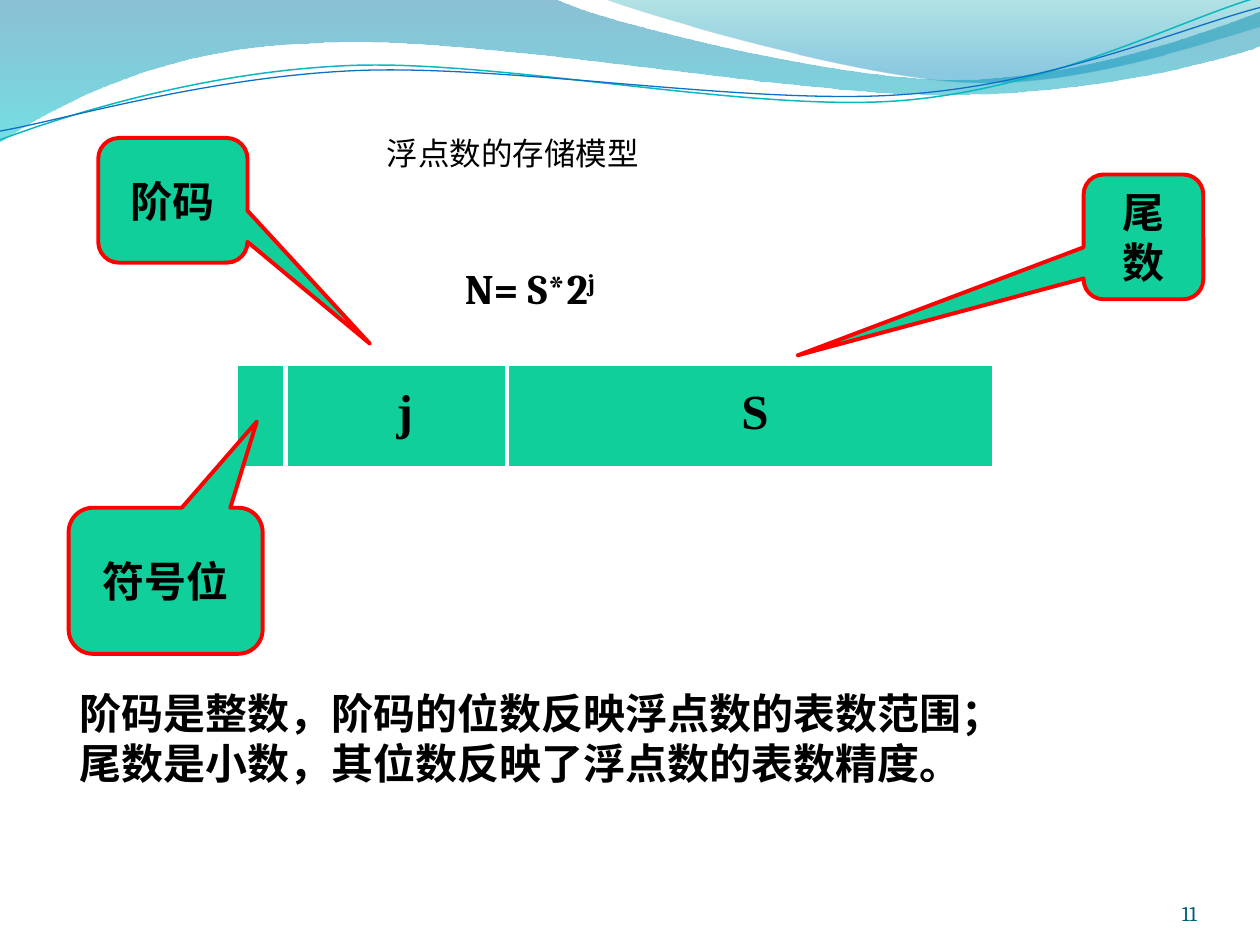
from math import cos, radians, sin

from lxml import etree
from pptx import Presentation
from pptx.dml.color import RGBColor
from pptx.enum.shapes import MSO_SHAPE
from pptx.enum.text import MSO_ANCHOR, PP_ALIGN
from pptx.oxml.ns import qn
from pptx.util import Inches, Pt

RECTANGLE = MSO_SHAPE.RECTANGLE
CALLOUT = MSO_SHAPE.ROUNDED_RECTANGULAR_CALLOUT
TOP, MIDDLE, BOTTOM = MSO_ANCHOR.TOP, MSO_ANCHOR.MIDDLE, MSO_ANCHOR.BOTTOM
LEFT, CENTER, RIGHT = PP_ALIGN.LEFT, PP_ALIGN.CENTER, PP_ALIGN.RIGHT
SERIF, HEADING = "Times New Roman", "Cambria"
GREEN, RED, WHITE, BLACK = "10CF9B", "FF0000", "FFFFFF", "000000"
TILT = -2.7

presentation = Presentation()
presentation.slide_width = Inches(10)
presentation.slide_height = Inches(7.5)
slide = presentation.slides.add_slide(presentation.slide_layouts[6])

# Grid of 100 columns by 75 rows
COLUMN = presentation.slide_width / 100
ROW = presentation.slide_height / 75


def color(value):
    return RGBColor.from_string(value)


def write(shape, lines, font, align=LEFT, anchor=TOP, wrap=True):
    frame = shape.text_frame
    frame.word_wrap = wrap
    frame.vertical_anchor = anchor
    frame.text = "\n".join(lines)
    for paragraph in frame.paragraphs:
        paragraph.alignment = align
        for name, value in font.items():
            if name == "color":
                paragraph.runs[0].font.color.rgb = color(value)
            else:
                setattr(paragraph.runs[0].font, name, value)
    return frame


# Waves at the top: start, then cubic curves (6 numbers) or straight lines (2)
waves = [
    {"start": (0, 0),
     "segments": [(44, -0.1), (47.6, 1.7, 66.4, 6.3, 75.8, 6.3),
                  (85.3, 6.3, 95.8, 2.6, 100, 0.9), (100.1, 3.6),
                  (98.3, 4.4, 87, 7.6, 74.6, 7.5), (62.2, 7.5, 38.2, 2.8, 25.7, 3.4),
                  (12.9, 3.6, 4.6, 8.3, -0.1, 11.3)],
     "stops": [(0, "0074A1", 45), (1, "00C6CF", 55)]},
    {"start": (47.9, -0.1),
     "segments": [(50.9, 1.1, 68.2, 6.2, 76.9, 6.5), (85.6, 6.9, 96.1, 3.2, 100, 2.1),
                  (100, 0)],
     "stops": [(0, "00A1A9", 30), (0.8, "008BBF", 45)]},
    {"start": (0, 11.1),
     "segments": [(4.8, 9.3, 15.8, 5.7, 27.7, 5.2), (39.5, 4.7, 59.3, 8.9, 71.3, 8),
                  (83.3, 7.1, 93.8, 1.5, 99.8, -0.2)],
     "line": ("0AB8BF", 0.85), "pivot": (49.9, 5.75)},
    {"start": (0, 10.4),
     "segments": [(4.7, 9.6, 16.4, 6.1, 28.3, 5.6), (40.3, 5.1, 59.7, 8.4, 71.7, 7.5),
                  (83.6, 6.7, 94.1, 2.1, 100, 0.6)],
     "line": ("0F6FC6", 0.75), "pivot": (49.95, 5.9)},
]
for wave in waves:
    points = [wave["start"]]
    for segment in wave["segments"]:
        points += zip(segment[::2], segment[1::2])
    if "pivot" in wave:
        # Level the points, since the shape itself is tilted
        (center_x, center_y), angle = wave["pivot"], radians(-TILT)
        points = [(center_x + (x - center_x) * cos(angle) - (y - center_y) * sin(angle),
                   center_y + (x - center_x) * sin(angle) + (y - center_y) * cos(angle))
                  for x, y in points]
    points = [(x * COLUMN, y * ROW) for x, y in points]
    builder = slide.shapes.build_freeform(*points[0])
    builder.add_line_segments(points[1:], close="stops" in wave)
    shape = builder.convert_to_shape()
    shape.shadow.inherit = False
    # Join three points into each cubic curve
    steps = list(shape.element.spPr.iter(qn("a:lnTo")))
    for segment in wave["segments"]:
        count = len(segment) // 2
        group, steps = steps[:count], steps[count:]
        if count == 3:
            group[0].tag = qn("a:cubicBezTo")
            for step in group[1:]:
                group[0].append(step[0])
                step.getparent().remove(step)
    if "stops" in wave:
        shape.line.fill.background()
        shape.fill.gradient()
        shape.fill.gradient_angle = 270
        for stop, (position, value, _) in zip(shape.fill.gradient_stops, wave["stops"]):
            stop.position = position
            stop.color.rgb = color(value)
        # Opacity of each stop
        for node, (_, _, opacity) in zip(shape.element.spPr.iter(qn("a:srgbClr")), wave["stops"]):
            etree.SubElement(node, qn("a:alpha")).set("val", str(opacity * 1000))
    else:
        shape.rotation = TILT
        shape.fill.background()
        shape.line.color.rgb = color(wave["line"][0])
        shape.line.width = Pt(wave["line"][1])

# Storage fields, their letters, and the callouts naming them
letter_font = {"name": SERIF, "size": Pt(28), "bold": True, "color": BLACK}
callout_font = {**letter_font, "size": Pt(24)}
letter = {"font": letter_font, "wrap": False}
label = {"font": callout_font, "align": CENTER, "anchor": MIDDLE}
blocks = [
    (RECTANGLE, (18.75, 28.9, 3.9, 8.25), WHITE, None, None, None),
    (RECTANGLE, (22.7, 28.9, 18.2, 8.25), WHITE, None, None, None),
    (RECTANGLE, (40.25, 28.9, 38.65, 8.25), WHITE, None, None, None),
    (RECTANGLE, (30.5, 29.7, 3.3, 5.7), None, None, "j", letter),
    (RECTANGLE, (57.85, 29.7, 4.2, 5.7), None, None, "S", letter),
    (CALLOUT, (7.8, 10.95, 11.85, 9.9), RED, (1.32, 1.15), "阶码", label),
    (CALLOUT, (5.45, 40.3, 15.4, 11.6), RED, (0.47, -1.09), "符号位", label),
    (CALLOUT, (86, 13.85, 9.5, 9.9), RED, (-2.89, 0.95), "尾数", label),
]
for kind, (left, top, width, height), outline, tip, text, style in blocks:
    shape = slide.shapes.add_shape(kind, int(left * COLUMN), int(top * ROW),
                                   int(width * COLUMN), int(height * ROW))
    shape.shadow.inherit = False
    shape.fill.solid()
    shape.fill.fore_color.rgb = color(GREEN)
    if outline:
        shape.line.color.rgb = color(outline)
        shape.line.width = Pt(2.25)
    else:
        shape.line.fill.background()
    if tip:
        shape.adjustments[0], shape.adjustments[1] = tip
    if text:
        write(shape, [text], **style)

# Page number, explanation, title and formula
title_font = {"name": HEADING, "size": Pt(18), "color": BLACK}
formula_font = {**title_font, "size": Pt(24), "bold": True}
number_font = {"name": HEADING, "size": Pt(12), "color": "045D75"}
texts = [
    ((86.7, 69.5, 8.3, 4), ["11"], {"font": number_font, "align": RIGHT, "anchor": BOTTOM}),
    ((2.3, 54.05, 79.8, 13.1), ["阶码是整数，阶码的位数反映浮点数的表数范围；",
                                "尾数是小数，其位数反映了浮点数的表数精度。"], {"font": callout_font}),
    ((29.7, 10.15, 42.4, 7.1), ["浮点数的存储模型"], {"font": title_font}),
    ((35.9, 20.35, 12.8, 5), ["N= S*2"], {"font": formula_font, "wrap": False}),
]
frames = []
for (left, top, width, height), lines, style in texts:
    box = slide.shapes.add_textbox(int(left * COLUMN), int(top * ROW),
                                   int(width * COLUMN), int(height * ROW))
    frames.append(write(box, lines, **style))
number, explanation, title, formula = frames

# The page number sits flush in its box
for side in ("left", "top", "right", "bottom"):
    setattr(number, f"margin_{side}", 0)

# Both lines of the explanation are indented
for paragraph in explanation.paragraphs:
    paragraph._p.get_or_add_pPr().set("marL", str(int(3 * COLUMN)))

# Raised exponent of the formula
exponent = formula.paragraphs[0].add_run()
exponent.text = "j"
for name, value in {"name": HEADING, "size": Pt(24), "bold": True}.items():
    setattr(exponent.font, name, value)
exponent.font.color.rgb = color(BLACK)
exponent.font._element.set("baseline", "30000")

presentation.save("out.pptx")
